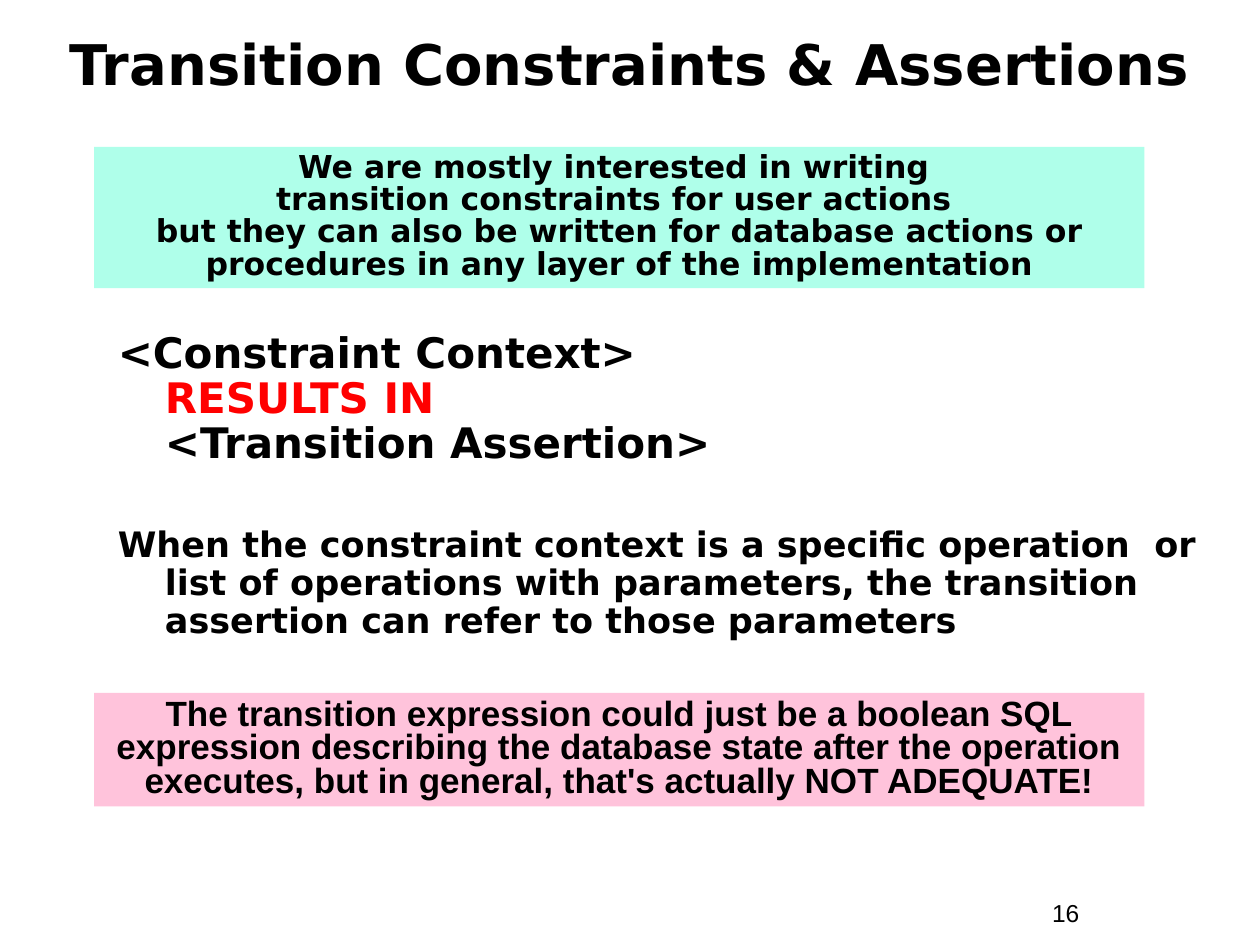
import pptx
import pptx.util
from pptx.dml.color import RGBColor
from pptx.enum.shapes import MSO_SHAPE
from pptx.enum.text import MSO_ANCHOR, MSO_AUTO_SIZE, PP_ALIGN
from pptx.util import Cm, Pt

COLORS = {"text": "000000", "keyword": "FF0000", "mint": "AFFFEA", "pink": "FFC3DB"}
SANS, ARIAL = "DejaVu Sans", "Arial"

TITLE = "Transition Constraints & Assertions"
PAGE = "16"
# Each paragraph is a list of lines; each line is (text, colour).
SYNTAX = [
    ("<Constraint Context>", "text"),
    ("RESULTS IN", "keyword"),
    ("<Transition Assertion>", "text"),
]
PARAMETERS = [
    ("When the constraint context is a specific operation  or list of operations "
     "with parameters, the transition assertion can refer to those parameters", "text"),
]
SCOPE = [
    ("We are mostly interested in writing ", "text"),
    ("transition constraints for user actions ", "text"),
    ("but they can also be written for database actions or procedures "
     "in any layer of the implementation", "text"),
]
ADEQUACY = [
    ("The transition expression could just be a boolean SQL expression describing "
     "the database state after the operation executes, but in general, "
     "that's actually NOT ADEQUATE!", "text"),
]
# fill, top and height in cm, lines, font, size, line spacing
BANNERS = [
    ("mint", 2.96, 2.85, SCOPE, SANS, 18, 0.85),
    ("pink", 13.97, 2.29, ADEQUACY, ARIAL, 20, 0.8),
]


def place(s, left, top, width, height, anchor=MSO_ANCHOR.TOP):
    s.left, s.top, s.width, s.height = Cm(left), Cm(top), Cm(width), Cm(height)
    tf = s.text_frame
    tf.word_wrap = True
    tf.auto_size = MSO_AUTO_SIZE.NONE
    tf.vertical_anchor = anchor
    return tf


def write(p, lines, font, size, spacing=1.0, align=PP_ALIGN.LEFT, before=0, bold=True):
    p.alignment = align
    p.line_spacing = spacing
    p.space_before = Pt(before)
    for i, (text, color) in enumerate(lines):
        if i:
            p.add_line_break()
        r = p.add_run()
        r.text = text
        r.font.name, r.font.size, r.font.bold = font, Pt(size), bold
        r.font.color.rgb = RGBColor.from_string(COLORS[color])


def hang(p, indent):
    """Replace the bullet with a plain hanging indent."""
    pPr = p._p.get_or_add_pPr()
    pPr.set("marL", str(Cm(indent)))
    pPr.set("indent", str(-Cm(indent)))
    pPr.append(pptx.oxml.parse_xml(
        '<a:buNone xmlns:a="http://schemas.openxmlformats.org/drawingml/2006/main"/>'))


def main():
    prs = pptx.Presentation()
    prs.slide_width, prs.slide_height = Cm(25.4), Cm(19.05)
    slide = prs.slides.add_slide(prs.slide_layouts[1])
    title, body = slide.placeholders

    tf = place(title, 0.85, 0.42, 23.7, 1.9, MSO_ANCHOR.MIDDLE)
    write(tf.paragraphs[0], [(TITLE, "text")], SANS, 32, 0.85, PP_ALIGN.CENTER)

    tf = place(body, 2.12, 6.56, 22.43, 6.78)
    syntax, parameters = tf.paragraphs[0], tf.add_paragraph()
    for p, lines, size, before in ((syntax, SYNTAX, 24, 0), (parameters, PARAMETERS, 20, 34)):
        hang(p, 0.95)
        write(p, lines, SANS, size, 0.9, before=before)

    for fill, top, height, lines, font, size, spacing in BANNERS:
        s = slide.shapes.add_shape(MSO_SHAPE.RECTANGLE, 0, 0, 0, 0)
        s.shadow.inherit = False
        s.fill.solid()
        s.fill.fore_color.rgb = RGBColor.from_string(COLORS[fill])
        s.line.fill.background()
        tf = place(s, 1.9, top, 21.17, height)
        write(tf.paragraphs[0], lines, font, size, spacing, PP_ALIGN.CENTER)

    page = slide.shapes.add_textbox(0, 0, 0, 0)
    tf = place(page, 20.96, 17.98, 2.33, 0.86)
    write(tf.paragraphs[0], [(PAGE, "text")], ARIAL, 14, bold=False)

    prs.save("out.pptx")


if __name__ == "__main__":
    main()
